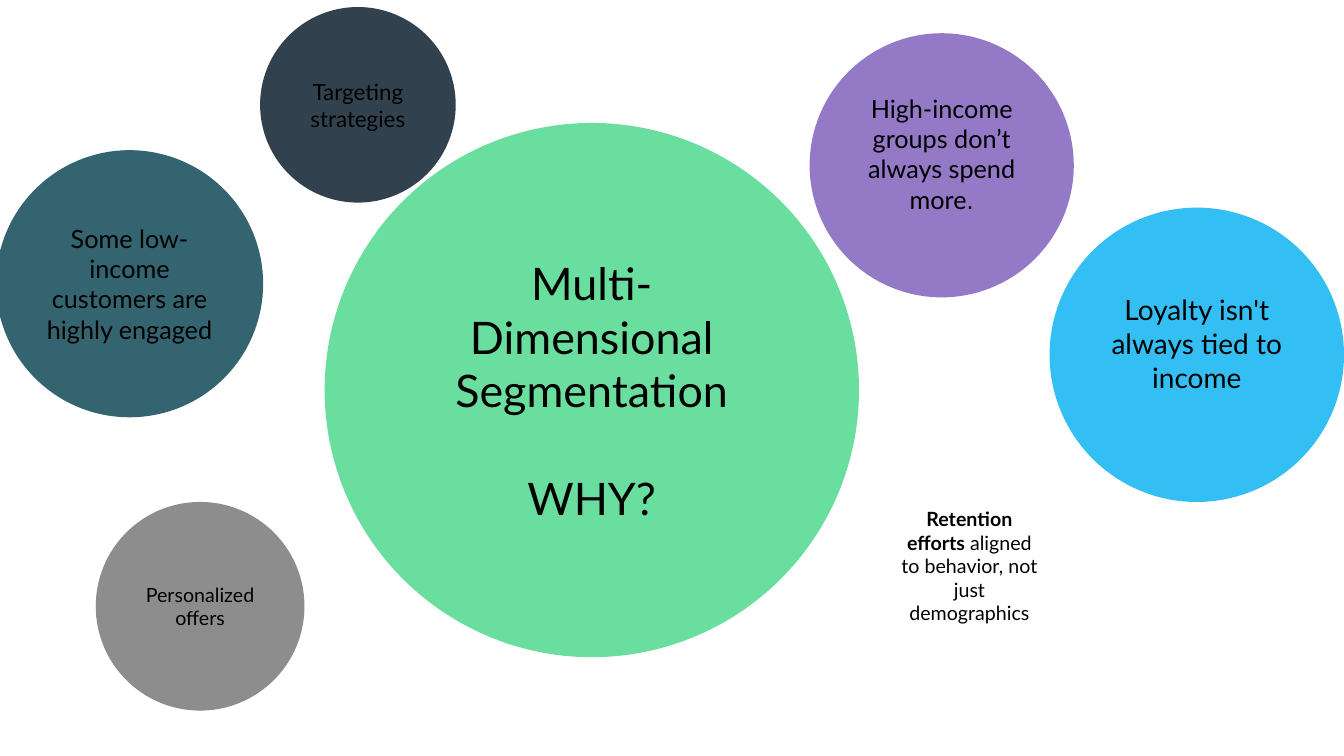
from lxml import etree
from pptx import Presentation, util as u
from pptx.dml.color import RGBColor
from pptx.enum import shapes, text
from pptx.oxml.ns import qn

COLORS = {
    "green": "5ADB94", "gray": "808080", "blue": "00B0F0", "white": "FFFFFF",
    "teal": "023E4B", "purple": "8162BD", "navy": "0E2130", "black": "000000",
}

# left, top, diameter, colour, opacity %, text size, extra bottom inset,
# paragraphs as lists of (text, font, bold) runs
BUBBLES = [
    (3.22, 1.22, 5.3, "green", 90, 32, 0,
     [[("Multi-Dimensional Segmentation", "Lato", False)],
      [("WHY?", "Lato", False)]]),
    (0.95, 4.98, 2.07, "gray", 89, 14, 0,
     [[("Personalized offers", "Lato", False)]]),
    (10.41, 2.06, 2.92, "blue", 80, 20, 0.23,
     [[("Loyalty isn't always tied to income", "Lato", False)]]),
    (8.52, 4.52, 2.19, "white", 100, 14, 0,
     [[("Retention efforts", "Lato", True),
       (" aligned to behavior, not just demographics", "Lato", False)]]),
    (-0.04, 1.49, 2.65, "teal", 80, 18, 0,
     [[("Some low-income customers are highly engaged", "Lato", False)]]),
    (8.03, 0.33, 2.62, "purple", 85, 18, 0.23,
     [[("High-income groups don’t always spend more", "Lato", False),
       (".", "Arial", False)]]),
    (2.58, 0.07, 1.94, "navy", 85, 16, 0,
     [[("Targeting strategies", "Lato", False)]]),
]


def set_fill(sp, color, opacity):
    sp.fill.solid()
    sp.fill.fore_color.rgb = RGBColor.from_string(COLORS[color])
    if opacity < 100:
        clr = sp.fill._xPr.find(qn("a:solidFill")).find(qn("a:srgbClr"))
        etree.SubElement(clr, qn("a:alpha")).set("val", str(opacity * 1000))


def add_bubble(s, left, top, diameter, color, opacity, size, inset, paragraphs):
    sp = s.shapes.add_shape(
        shapes.MSO_SHAPE.OVAL, u.Inches(left), u.Inches(top),
        u.Inches(diameter), u.Inches(diameter))
    sp.shadow.inherit = False
    sp.line.fill.background()
    set_fill(sp, color, opacity)

    # Centred text, lifted by the extra bottom inset
    tf = sp.text_frame
    tf.word_wrap = True
    tf.vertical_anchor = text.MSO_ANCHOR.MIDDLE
    tf.margin_bottom = u.Inches(0.05 + inset)
    for i, runs in enumerate(paragraphs):
        p = tf.add_paragraph() if i else tf.paragraphs[0]
        p.alignment = text.PP_ALIGN.CENTER
        if i:
            p.space_before = u.Pt(size * 1.2)
        for words, font, bold in runs:
            r = p.add_run()
            r.text = words
            r.font.name = font
            r.font.size = u.Pt(size)
            r.font.bold = bold
            r.font.color.rgb = RGBColor.from_string(COLORS["black"])


def main():
    prs = Presentation()
    prs.slide_width, prs.slide_height = u.Inches(13.33), u.Inches(7.5)
    s = prs.slides.add_slide(prs.slide_layouts[6])
    for bubble in BUBBLES:
        add_bubble(s, *bubble)
    prs.save("out.pptx")


if __name__ == "__main__":
    main()
